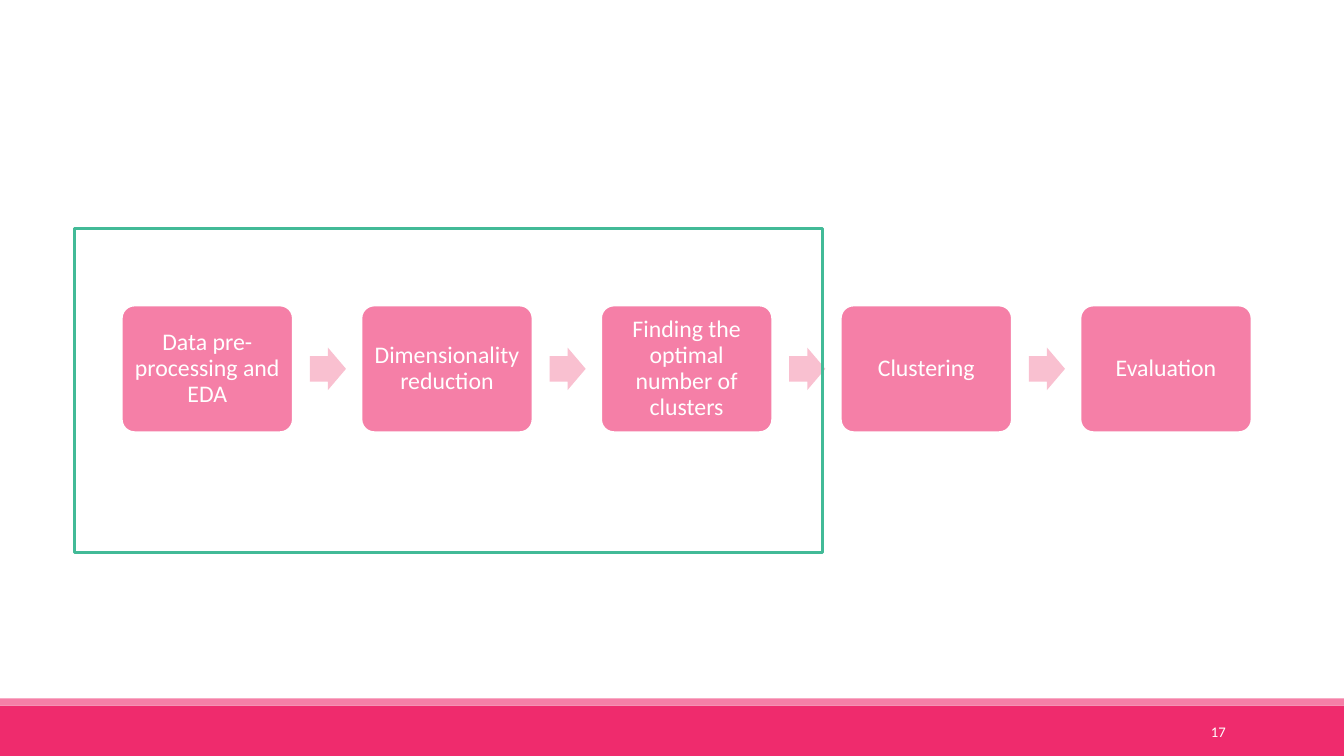
"""Build the slide showing the five steps of the clustering workflow."""
from pptx import Presentation
from pptx.dml.color import RGBColor
from pptx.enum.shapes import MSO_SHAPE
from pptx.enum.text import MSO_ANCHOR, PP_ALIGN
from pptx.util import Cm, Pt

RECTANGLE = MSO_SHAPE.RECTANGLE
ROUNDED = MSO_SHAPE.ROUNDED_RECTANGLE
ARROW = MSO_SHAPE.RIGHT_ARROW
MIDDLE = MSO_ANCHOR.MIDDLE
CENTER = PP_ALIGN.CENTER
RIGHT = PP_ALIGN.RIGHT

WHITE = RGBColor(0xFF, 0xFF, 0xFF)
CRIMSON = RGBColor(0xEF, 0x2B, 0x6D)
PINK = RGBColor(0xF5, 0x7F, 0xA7)
PALE_PINK = RGBColor(0xF9, 0xC0, 0xD0)
GREEN = RGBColor(0x42, 0xBA, 0x97)

FONT = "Calibri"
SLIDE_WIDTH, SLIDE_HEIGHT = 33.87, 19.05
STEPS = [
    "Data pre-processing and EDA",
    "Dimensionality reduction",
    "Finding the optimal number of clusters",
    "Clustering",
    "Evaluation",
]
STEP_LEFT, STEP_TOP, STEP_WIDTH, STEP_HEIGHT = 3.07, 7.7, 4.31, 3.19
STEP_PITCH = 6.04
ARROW_WIDTH, ARROW_HEIGHT, ARROW_GAP = 0.91, 1.07, 0.43


def add_block(slide, kind, left, top, width, height, fill=None, line=None,
              line_width=1.25, adjustments=()):
    """Add a preset shape, measured in centimetres, without a shadow."""
    block = slide.shapes.add_shape(kind, Cm(left), Cm(top), Cm(width), Cm(height))
    block.shadow.inherit = False
    if fill is None:
        block.fill.background()
    else:
        block.fill.solid()
        block.fill.fore_color.rgb = fill
    if line is None:
        block.line.fill.background()
    else:
        block.line.color.rgb = line
        block.line.width = Pt(line_width)
    for index, value in enumerate(adjustments):
        block.adjustments[index] = value
    return block


def write_text(holder, text, size, align=CENTER, color=WHITE, spacing=1.0, inset=0.25):
    """Write one formatted, vertically centred paragraph into a shape."""
    frame = holder.text_frame
    frame.word_wrap = True
    frame.vertical_anchor = MIDDLE
    frame.margin_left = frame.margin_right = Cm(inset)
    frame.margin_top = frame.margin_bottom = Cm(min(inset, 0.17))
    paragraph = frame.paragraphs[0]
    paragraph.alignment = align
    paragraph.line_spacing = spacing
    run = paragraph.add_run()
    run.text = text
    run.font.name = FONT
    run.font.size = Pt(size)
    run.font.color.rgb = color


def add_footer(slide, number):
    """Add the two footer bands and the page number."""
    add_block(slide, RECTANGLE, 0, 17.78, SLIDE_WIDTH, 1.27, fill=CRIMSON)
    add_block(slide, RECTANGLE, 0, 17.6, SLIDE_WIDTH, 0.18, fill=PINK)
    page_number = slide.shapes.add_textbox(Cm(27.5), Cm(17.94), Cm(3.64), Cm(1.01))
    write_text(page_number, number, 10.5, align=RIGHT)


def add_workflow(slide):
    """Add the row of steps joined by arrows."""
    arrow_top = STEP_TOP + (STEP_HEIGHT - ARROW_HEIGHT) / 2
    for index, label in enumerate(STEPS):
        left = STEP_LEFT + index * STEP_PITCH
        if index:
            arrow_left = left - STEP_PITCH + STEP_WIDTH + ARROW_GAP
            add_block(slide, ARROW, arrow_left, arrow_top, ARROW_WIDTH, ARROW_HEIGHT,
                      fill=PALE_PINK, adjustments=(0.6, 0.5))
        step = add_block(slide, ROUNDED, left, STEP_TOP, STEP_WIDTH, STEP_HEIGHT,
                         fill=PINK, line=WHITE, adjustments=(0.1,))
        write_text(step, label, 17, spacing=0.9, inset=0.17)


def main():
    """Build and save the slide."""
    deck = Presentation()
    deck.slide_width, deck.slide_height = Cm(SLIDE_WIDTH), Cm(SLIDE_HEIGHT)
    slide = deck.slides.add_slide(deck.slide_layouts[6])
    add_footer(slide, "17")
    add_workflow(slide)
    add_block(slide, RECTANGLE, 1.88, 5.76, 18.85, 8.16, line=GREEN, line_width=2.25)
    deck.save("out.pptx")


if __name__ == "__main__":
    main()
